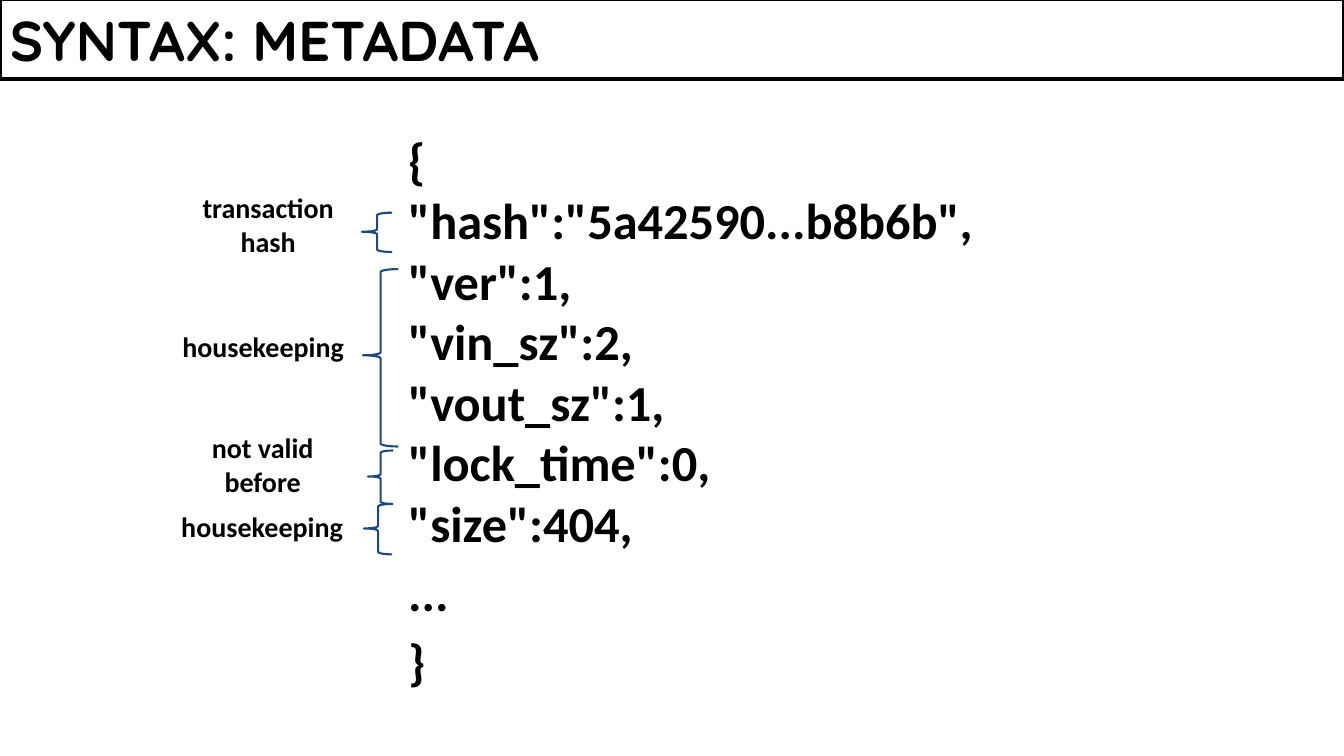
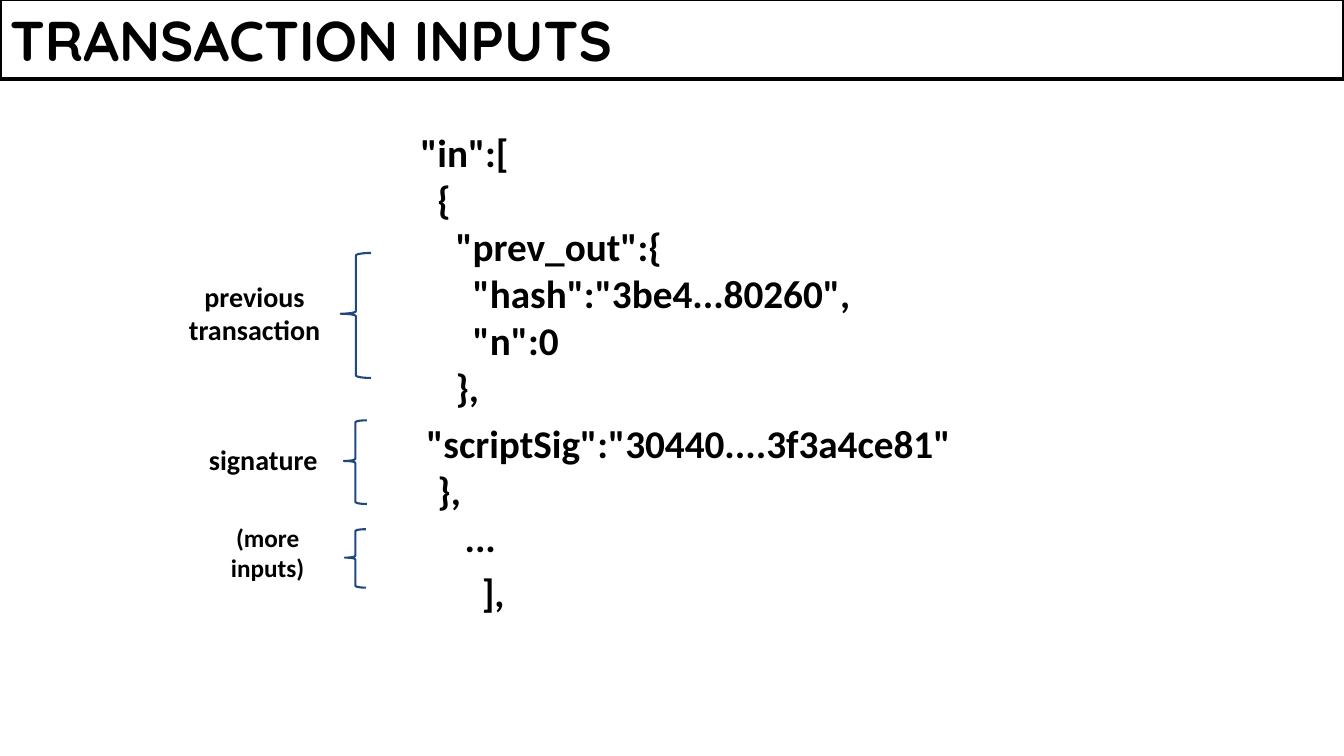
from dataclasses import dataclass

from pptx import Presentation
from pptx.dml.color import RGBColor
from pptx.enum.shapes import MSO_SHAPE
from pptx.enum.text import MSO_ANCHOR, PP_ALIGN
from pptx.util import Inches, Pt

RECTANGLE = MSO_SHAPE.RECTANGLE
LEFT_BRACE = MSO_SHAPE.LEFT_BRACE
MIDDLE = MSO_ANCHOR.MIDDLE
LEFT = PP_ALIGN.LEFT
CENTER = PP_ALIGN.CENTER


@dataclass(frozen=True)
class Theme:
    text: RGBColor = RGBColor(0x00, 0x00, 0x00)
    brace: RGBColor = RGBColor(0x1F, 0x49, 0x7D)
    title_font: str = "Quicksand"
    body_font: str = "Calibri"
    title_size: int = 40
    label_size: int = 20
    small_label_size: int = 18
    block_gap: int = 6
    band_line: float = 3
    brace_line: float = 1.5
    inset: float = 0.1


THEME = Theme()
SLIDE_SIZE = (13.33, 7.5)
TITLE_BAND = (0, -0.01, 13.33, 0.79)
BRACE_ADJUSTMENTS = (0.083, 0.486)

# Each block is a list of (indent, line); each note is (text, size, label box, brace box).
SLIDES = [
    {
        "title": "SYNTAX: METADATA",
        "code_box": (3.95, 1.18, 7.72, 5.9),
        "code_size": 36,
        "blocks": [
            [
                (0, "{"),
                (0, '"hash":"5a42590...b8b6b",'),
                (0, '"ver":1,'),
                (0, '"vin_sz":2,'),
                (0, '"vout_sz":1,'),
                (0, '"lock_time":0,'),
                (0, '"size":404,'),
            ],
            [(0, "...")],
            [(0, "}")],
        ],
        "notes": [
            ("transaction hash", THEME.label_size, (1.67, 1.79, 1.98, 0.88), (3.59, 2.11, 0.3, 0.39)),
            ("housekeeping", THEME.label_size, (1.67, 3.17, 1.88, 0.46), (3.6, 2.67, 0.35, 1.76)),
            ("not valid before", THEME.label_size, (1.61, 4.17, 1.99, 0.92), (3.65, 4.47, 0.25, 0.53)),
            ("housekeeping", THEME.label_size, (1.66, 4.95, 1.88, 0.46), (3.61, 5, 0.28, 0.5)),
        ],
    },
    {
        "title": "TRANSACTION INPUTS",
        "code_box": (3.54, 1.17, 7.96, 5.5),
        "code_size": 28,
        "blocks": [
            [
                (0.53, '"in":['),
                (0.7, "{"),
                (0.88, '"prev_out":{'),
                (1.05, '"hash":"3be4...80260",'),
                (1.05, '"n":0'),
                (0.88, "},"),
            ],
            [
                (0.59, '"scriptSig":"30440....3f3a4ce81"'),
                (0.7, "},"),
                (0.97, "..."),
            ],
            [(1.14, "],")],
        ],
        "notes": [
            ("previous\ntransaction", THEME.label_size, (1.67, 2.67, 1.71, 0.83), (3.38, 2.51, 0.3, 1.24)),
            ("signature", THEME.label_size, (1.97, 4.29, 1.28, 0.46), (3.41, 4.17, 0.23, 0.83)),
            ("(more inputs)", THEME.small_label_size, (1.93, 5.08, 1.45, 0.98), (3.42, 5.25, 0.21, 0.58)),
        ],
    },
]


def box_inches(box):
    return [Inches(length) for length in box]


def style_paragraph(paragraph, font_name, size, alignment=LEFT):
    paragraph.alignment = alignment
    paragraph.font.name = font_name
    paragraph.font.size = Pt(size)
    paragraph.font.bold = True
    paragraph.font.color.rgb = THEME.text


def add_outline(slide, preset, box, color, width):
    shape = slide.shapes.add_shape(preset, *box_inches(box))
    shape.shadow.inherit = False
    shape.fill.background()
    shape.line.color.rgb = color
    shape.line.width = Pt(width)
    return shape


def add_title(slide, title):
    band = add_outline(slide, RECTANGLE, TITLE_BAND, THEME.text, THEME.band_line)
    frame = band.text_frame
    frame.word_wrap = False
    frame.vertical_anchor = MIDDLE
    frame.text = title
    style_paragraph(frame.paragraphs[0], THEME.title_font, THEME.title_size)


def add_text_frame(slide, box):
    frame = slide.shapes.add_textbox(*box_inches(box)).text_frame
    frame.word_wrap = True
    frame.margin_left = frame.margin_right = Inches(THEME.inset)
    frame.margin_top = frame.margin_bottom = Inches(THEME.inset)
    return frame


def add_code(slide, box, size, blocks):
    frame = add_text_frame(slide, box)
    frame.text = "\n".join(line for block in blocks for _, line in block)
    paragraphs = iter(frame.paragraphs)
    for block in blocks:
        for position, (indent, _) in enumerate(block):
            paragraph = next(paragraphs)
            style_paragraph(paragraph, THEME.body_font, size)
            paragraph.space_before = Pt(0 if position else THEME.block_gap)
            properties = paragraph._p.get_or_add_pPr()
            properties.set("marL", str(Inches(indent)))
            properties.set("indent", "0")


def add_note(slide, text, size, label_box, brace_box):
    brace = add_outline(slide, LEFT_BRACE, brace_box, THEME.brace, THEME.brace_line)
    for index, value in enumerate(BRACE_ADJUSTMENTS):
        brace.adjustments[index] = value
    frame = add_text_frame(slide, label_box)
    frame.text = text
    for paragraph in frame.paragraphs:
        style_paragraph(paragraph, THEME.body_font, size, CENTER)


def main():
    presentation = Presentation()
    presentation.slide_width, presentation.slide_height = box_inches(SLIDE_SIZE)
    blank_layout = presentation.slide_layouts[6]
    for content in SLIDES:
        slide = presentation.slides.add_slide(blank_layout)
        add_title(slide, content["title"])
        add_code(slide, content["code_box"], content["code_size"], content["blocks"])
        for note in content["notes"]:
            add_note(slide, *note)
    presentation.save("out.pptx")


if __name__ == "__main__":
    main()
